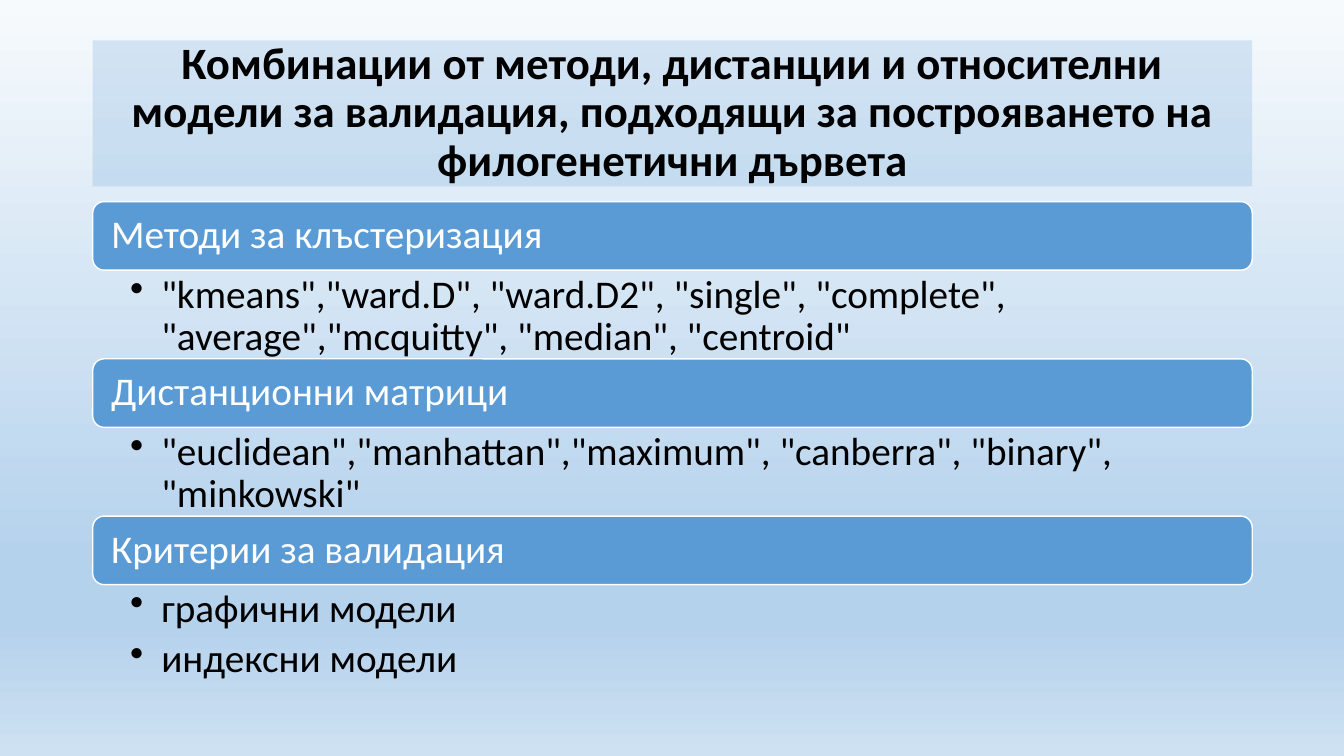
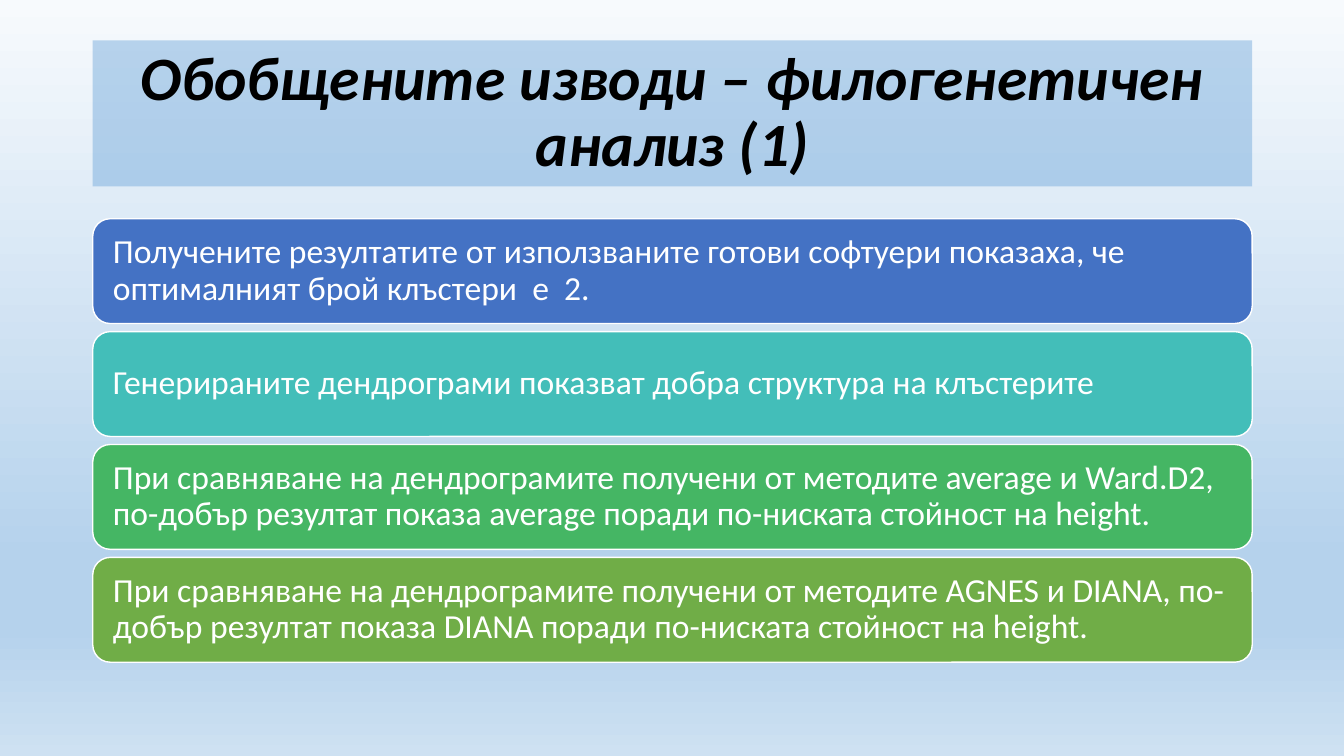
from dataclasses import dataclass

from lxml import etree
from pptx import Presentation
from pptx import util as u
from pptx.dml.color import RGBColor
from pptx.enum import shapes, text
from pptx.oxml import ns

COLORS = {
    "black": "000000", "white": "FFFFFF", "blue": "5B9BD5",
    "indigo": "4472C4", "teal": "43BEB9", "green": "45B664", "olive": "70AD47",
}
# Background stops: position in percent, colour
SKY_STOPS = [(0, "F7FAFD"), (74, "B5D2EC"), (83, "B5D2EC"), (100, "CEE1F2")]
FONT = "Calibri"
LEFT, WIDTH = 0.92, 11.5


@dataclass
class Title:
    wording: str
    size: int
    opacity: int
    italic: bool = False


@dataclass
class Section:
    heading: str
    bullets: list[str]


@dataclass
class Conclusion:
    wording: str
    color: str


METHODS_TITLE = Title(
    "Комбинации от методи, дистанции и относителни модели за валидация, "
    "подходящи за построяването на филогенетични дървета", 32, 21)
SECTIONS = [
    Section("Методи за клъстеризация", [
        '"kmeans","ward.D", "ward.D2", "single", "complete", '
        '"average","mcquitty", "median", "centroid"']),
    Section("Дистанционни матрици", [
        '"euclidean","manhattan","maximum", "canberra", "binary", "minkowski"']),
    Section("Критерии за валидация", ["графични модели", "индексни модели"]),
]
CONCLUSIONS_TITLE = Title(
    "Обобщените изводи – филогенетичен анализ (1)", 44, 40, italic=True)
CONCLUSIONS = [
    Conclusion("Получените резултатите от използваните готови софтуери показаха, "
               "че оптималният брой клъстери  е  2.", "indigo"),
    Conclusion("Генерираните дендрограми показват добра структура на клъстерите",
               "teal"),
    Conclusion("При сравняване на дендрограмите получени от методите average и "
               "Ward.D2, по-добър резултат показа average поради по-ниската "
               "стойност на height.", "green"),
    Conclusion("При сравняване на дендрограмите получени от методите AGNES и "
               "DIANA, по-добър резултат показа DIANA поради по-ниската "
               "стойност на height.", "olive"),
]


def rgb(name: str) -> RGBColor:
    return RGBColor.from_string(COLORS[name])


def set_frame(frame, left: float, top: float, right: float, bottom: float,
              anchor=text.MSO_ANCHOR.MIDDLE) -> None:
    frame.word_wrap = True
    frame.vertical_anchor = anchor
    frame.margin_left, frame.margin_top = u.Inches(left), u.Inches(top)
    frame.margin_right, frame.margin_bottom = u.Inches(right), u.Inches(bottom)


def style_para(para, wording: str, size: int, color: str,
               align=text.PP_ALIGN.LEFT) -> None:
    para.text = wording
    para.alignment = align
    para.line_spacing = 0.9
    para.font.name = FONT
    para.font.size = u.Pt(size)
    para.font.color.rgb = rgb(color)


def add_block(page, kind, top: float, height: float, color: str):
    block = page.shapes.add_shape(kind, u.Inches(LEFT), u.Inches(top),
                                  u.Inches(WIDTH), u.Inches(height))
    block.shadow.inherit = False
    block.fill.solid()
    block.fill.fore_color.rgb = rgb(color)
    return block


def add_bar(page, wording: str, top: float, height: float, size: int,
            color: str) -> None:
    bar = add_block(page, shapes.MSO_SHAPE.ROUNDED_RECTANGLE, top, height, color)
    bar.line.color.rgb = rgb("white")
    bar.line.width = u.Pt(1)
    set_frame(bar.text_frame, 0.15, 0.1, 0.15, 0.1)
    style_para(bar.text_frame.paragraphs[0], wording, size, "white")


def add_bullets(page, bullets: list[str], top: float, height: float) -> None:
    box = page.shapes.add_textbox(u.Inches(LEFT), u.Inches(top),
                                  u.Inches(WIDTH), u.Inches(height))
    frame = box.text_frame
    set_frame(frame, 0.37, 0.04, 0.22, 0.04, text.MSO_ANCHOR.TOP)
    for index, bullet in enumerate(bullets):
        para = frame.add_paragraph() if index else frame.paragraphs[0]
        style_para(para, bullet, 28, "black")
        para.space_after = u.Pt(5.6)
        # Hanging bullet
        props = para._p.get_or_add_pPr()
        props.set("marL", str(u.Inches(0.31)))
        props.set("indent", str(-u.Inches(0.31)))
        etree.SubElement(props, ns.qn("a:buChar"), char="•")


def add_page(deck, title: Title):
    page = deck.slides.add_slide(deck.slide_layouts[6])

    # Sky gradient, top to bottom
    sky = page.background.fill
    sky.gradient()
    sky.gradient_angle = 270
    stops = page._element.find(".//" + ns.qn("a:gsLst"))
    for stop in list(stops):
        stops.remove(stop)
    for position, color in SKY_STOPS:
        stop = etree.SubElement(stops, ns.qn("a:gs"), pos=str(position * 1000))
        etree.SubElement(stop, ns.qn("a:srgbClr"), val=color)

    # Translucent title band
    band = add_block(page, shapes.MSO_SHAPE.RECTANGLE, 0.4, 1.45, "blue")
    band.line.fill.background()
    tint = band._element.spPr.find(".//" + ns.qn("a:srgbClr"))
    etree.SubElement(tint, ns.qn("a:alpha"), val=str(title.opacity * 1000))
    set_frame(band.text_frame, 0.1, 0.05, 0.1, 0.05)
    para = band.text_frame.paragraphs[0]
    style_para(para, title.wording, title.size, "black", text.PP_ALIGN.CENTER)
    para.font.bold = True
    para.font.italic = title.italic
    return page


def build_methods(deck) -> None:
    page = add_page(deck, METHODS_TITLE)
    top, pitch, bar_height = 2, 1.56, 0.68
    for index, section in enumerate(SECTIONS):
        bar_top = top + index * pitch
        add_bar(page, section.heading, bar_top, bar_height, 28, "blue")
        add_bullets(page, section.bullets, bar_top + bar_height, pitch - bar_height)


def build_conclusions(deck) -> None:
    page = add_page(deck, CONCLUSIONS_TITLE)
    top, height, gap = 2.17, 1.04, 0.08
    for index, conclusion in enumerate(CONCLUSIONS):
        add_bar(page, conclusion.wording, top + index * (height + gap), height,
                24, conclusion.color)


def main() -> None:
    deck = Presentation()
    deck.slide_width, deck.slide_height = u.Inches(13.33), u.Inches(7.5)
    build_methods(deck)
    build_conclusions(deck)
    deck.save("out.pptx")


if __name__ == "__main__":
    main()
